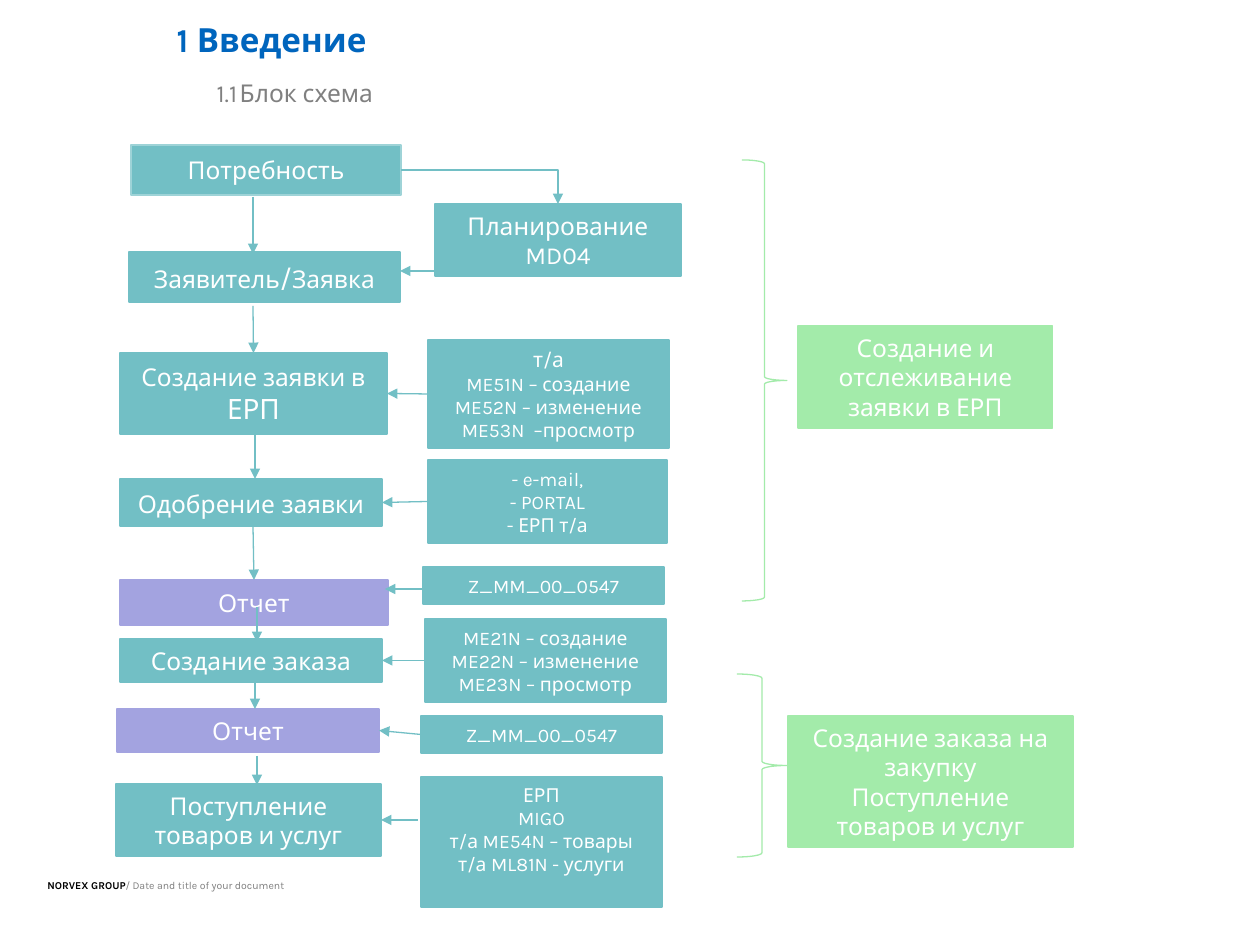
from lxml.etree import SubElement
from pptx import Presentation
from pptx.dml.color import RGBColor
from pptx.enum.shapes import MSO_CONNECTOR as Link, MSO_SHAPE as Shape
from pptx.enum.text import MSO_ANCHOR as Anchor, MSO_AUTO_SIZE as AutoSize, PP_ALIGN as Align
from pptx.oxml.ns import qn
from pptx.util import Emu, Pt

PX = 914400 // 126
FONT = "Karla"
TEAL, PALE_TEAL, VIOLET, GREEN = "72BFC5", "9ED3D7", "A3A3E0", "A3EBAA"
WHITE, BLACK, GRAY, BLUE = "FFFFFF", "000000", "808080", "0065BD"
TOP, LEFT, BOTTOM, RIGHT = range(4)

TITLE = "1 Введение"
SUBTITLE = [("1.1", 14), (" ", 6), ("Блок схема", 14)]
FOOTER = [("NORVEX GROUP", 6), ("/ Date and title of your document", 6)]

BOXES = {
    "need": ((131, 145, 270, 50), TEAL, [[("Потребность", 14)]]),
    "planning": ((435, 204, 246, 72), TEAL, [[("Планирование MD04", 14)]]),
    "request": ((129, 252, 271, 50), TEAL,
                [[("Заявитель", 14), ("/", 16), ("Заявка", 14)]]),
    "entry": ((120, 353, 267, 81), TEAL, [[("Создание заявки в ", 14), ("ЕРП", 16)]]),
    "approval": ((120, 479, 262, 47), TEAL,
                 [[("Одобрение", 14), (" ", 16), ("заявки", 14)]]),
    "request report": ((120, 580, 268, 45), VIOLET, [[("Отчет", 14)]]),
    "order": ((120, 639, 262, 43), TEAL, [[("Создание заказа", 14)]]),
    "order report": ((117, 709, 262, 43), VIOLET, [[("Отчет", 14)]]),
    "receipt": ((116, 784, 265, 72), TEAL, [[("Поступление товаров и услуг", 14)]]),
    "entry codes": ((428, 340, 241, 108), TEAL,
                    [[("т/а", 12)], [("ME51N – создание", 11)],
                     [("ME52N – изменение", 11)], [("ME53N  –просмотр", 11)]]),
    "approval ways": ((428, 460, 239, 83), TEAL,
                      [[("- e-mail,", 11)], [("- PORTAL", 11)], [("- ЕРП т/а", 11)]]),
    "request report code": ((423, 567, 241, 37), TEAL, [[("Z_MM_00_0547", 11)]]),
    "order codes": ((425, 619, 241, 83), TEAL,
                    [[("ME21N – создание", 11)], [("ME22N – изменение", 11)],
                     [("ME23N – просмотр", 11)]]),
    "order report code": ((421, 716, 241, 37), TEAL, [[("Z_MM_00_0547", 11)]]),
    "receipt codes": ((421, 777, 241, 130), TEAL,
                      [[("ЕРП", 11)], [("MIGO", 11)], [("т/а ME54N – товары", 11)],
                       [("т/а ML81N - услуги", 11)]]),
    "request stage": ((798, 326, 255, 102), GREEN,
                      [[("Создание и отслеживание заявки в ЕРП", 14)]]),
    "order stage": ((788, 716, 285, 131), GREEN,
                    [[("Создание заказа на закупку", 14)],
                     [("Поступление товаров и услуг", 14)]]),
}
BRACES = [(742, 160, 45, 441), (737, 674, 50, 183)]

# Each end is either a point or a (box, side) pair.
ARROWS = [
    (("need", RIGHT), ("planning", TOP)),
    ((253, 197), (253, 254)),
    ((557, 271), (400, 271)),
    ((253, 306), ("entry", TOP)),
    ((255, 431), (255, 479)),
    ((253, 526), ("request report", TOP)),
    ((257, 607), (257, 642)),
    ((255, 682), (255, 709)),
    ((257, 756), (257, 785)),
    (("entry codes", LEFT), ("entry", RIGHT)),
    (("approval ways", LEFT), ("approval", RIGHT)),
    ((426, 589), (385, 589)),
    (("order codes", LEFT), ("order", RIGHT)),
    (("order report code", LEFT), ("order report", RIGHT)),
    ((418, 820), ("receipt", RIGHT)),
]


def color(value):
    return RGBColor.from_string(value)


def px(*values):
    return [Emu(value * PX) for value in values]


def place(shape, bounds):
    shape.left, shape.top, shape.width, shape.height = px(*bounds)


def set_line(shape, value):
    shape.line.color.rgb = color(value)
    shape.line.width = Pt(0.75)


def write(frame, paragraphs, value, align, anchor, bold=False):
    frame.word_wrap = True
    frame.auto_size = AutoSize.NONE
    frame.vertical_anchor = anchor
    for index, runs in enumerate(paragraphs):
        paragraph = frame.add_paragraph() if index else frame.paragraphs[0]
        paragraph.alignment = align
        paragraph.space_before = Pt(0)
        for text, size in runs:
            run = paragraph.add_run()
            run.text = text
            run.font.name, run.font.size, run.font.bold = FONT, Pt(size), bold
            run.font.color.rgb = color(value)


def add_preset(slide, preset, bounds, line):
    shape = slide.shapes.add_shape(preset, *px(*bounds))
    shape.shadow.inherit = False
    set_line(shape, line)
    return shape


def add_arrow(slide, boxes, start, end):
    joined = [point[0] in boxes for point in (start, end)]
    bent = all(joined) and start[1] == RIGHT and end[1] == TOP
    points = [(0, 0) if glued else point for glued, point in zip(joined, (start, end))]
    arrow = slide.shapes.add_connector(
        Link.ELBOW if bent else Link.STRAIGHT, *px(*points[0], *points[1]))
    if joined[0]:
        arrow.begin_connect(boxes[start[0]], start[1])
    if joined[1]:
        arrow.end_connect(boxes[end[0]], end[1])
    set_line(arrow, TEAL)
    properties = arrow._element.spPr
    if bent:
        properties.find(qn("a:prstGeom")).set("prst", "bentConnector2")
    SubElement(properties.find(qn("a:ln")), qn("a:tailEnd"), type="triangle")
    SubElement(properties, qn("a:effectLst"))


def add_headings(slide):
    title, body = slide.placeholders
    place(title, (164, 13, 934, 52))
    write(title.text_frame, [[(TITLE, 19)]], BLUE, Align.LEFT, Anchor.TOP, bold=True)
    place(body, (142, 72, 592, 55))
    write(body.text_frame, [SUBTITLE], GRAY, Align.LEFT, Anchor.TOP)
    properties = body.text_frame.paragraphs[0]._p.get_or_add_pPr()
    properties.set("marL", str(62 * PX))
    properties.set("indent", "0")
    SubElement(properties, qn("a:buNone"))


def add_footer(slide):
    footer = slide.shapes.add_textbox(*px(35, 873, 509, 24))
    write(footer.text_frame, [FOOTER], GRAY, Align.LEFT, Anchor.TOP)
    company = footer.text_frame.paragraphs[0].runs[0]
    company.font.bold = True
    company.font.color.rgb = color(BLACK)


def main():
    presentation = Presentation()
    presentation.slide_width, presentation.slide_height = px(1260, 945)
    slide = presentation.slides.add_slide(presentation.slide_layouts[1])
    add_headings(slide)
    add_footer(slide)
    boxes = {}
    for name, (bounds, fill, paragraphs) in BOXES.items():
        box = add_preset(slide, Shape.RECTANGLE, bounds, PALE_TEAL if name == "need" else fill)
        box.fill.solid()
        box.fill.fore_color.rgb = color(fill)
        anchor = Anchor.TOP if name == "receipt codes" else Anchor.MIDDLE
        write(box.text_frame, paragraphs, WHITE, Align.CENTER, anchor)
        boxes[name] = box
    for bounds in BRACES:
        add_preset(slide, Shape.RIGHT_BRACE, bounds, GREEN).fill.background()
    for start, end in ARROWS:
        add_arrow(slide, boxes, start, end)
    presentation.save("out.pptx")


if __name__ == "__main__":
    main()
